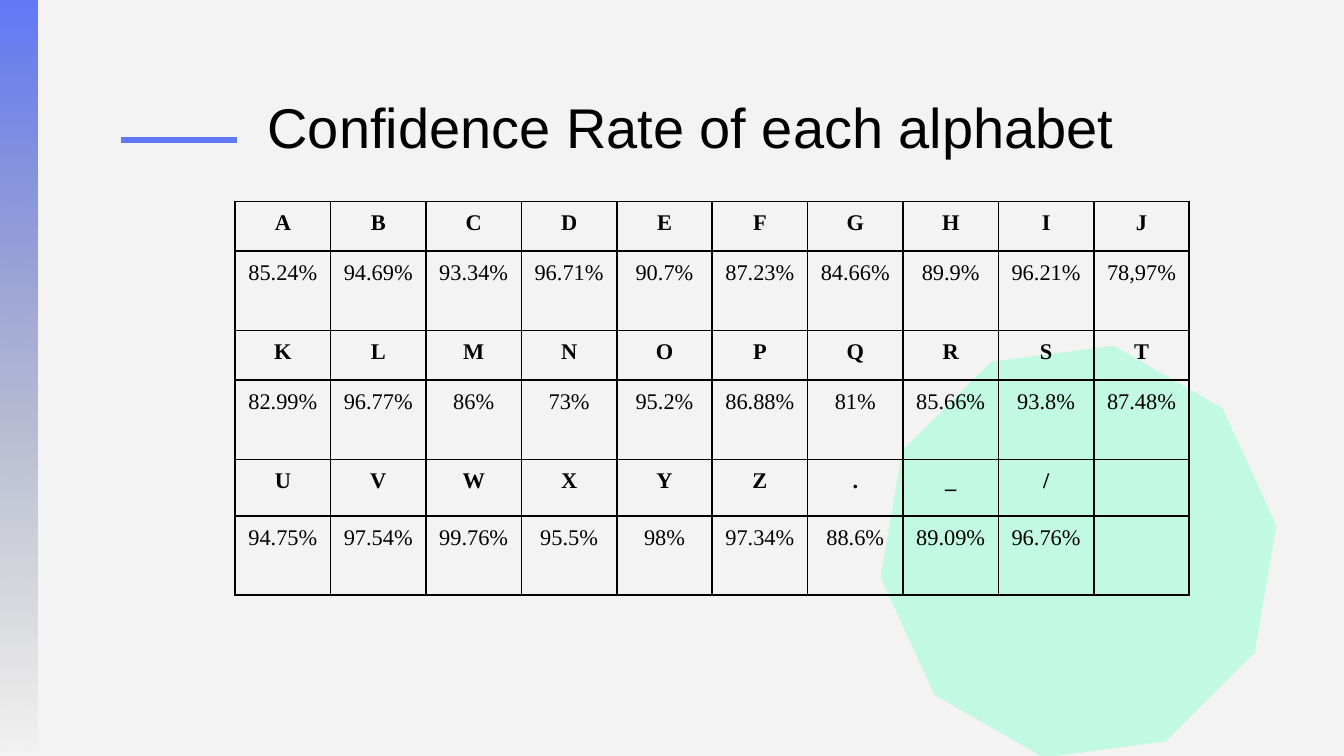
from dataclasses import dataclass

from lxml.etree import SubElement
from pptx import Presentation
from pptx.dml.color import RGBColor
from pptx.enum.shapes import MSO_CONNECTOR, MSO_SHAPE
from pptx.enum.text import MSO_ANCHOR, PP_ALIGN
from pptx.oxml.ns import qn
from pptx.util import Inches, Pt


@dataclass(frozen=True)
class Theme:
    background: str = "F3F3F3"
    accent: str = "6178F6"
    fade: str = "737373"
    mint: str = "95FFD4"
    ink: str = "000000"
    title_font: str = "Arial"
    table_font: str = "Times New Roman"
    title_size: float = 30
    table_size: float = 12
    rule_width: float = 3
    border_width: float = 1


THEME = Theme()
WIDTH = 10
HEIGHT = WIDTH * 9 / 16
COLUMN_WIDTH = 0.71
ROW_HEIGHTS = (0.37, 0.59, 0.37, 0.59, 0.42, 0.59)
RATES = (
    ("A B C D E F G H I J",
     "85.24% 94.69% 93.34% 96.71% 90.7% 87.23% 84.66% 89.9% 96.21% 78,97%"),
    ("K L M N O P Q R S T",
     "82.99% 96.77% 86% 73% 95.2% 86.88% 81% 85.66% 93.8% 87.48%"),
    ("U V W X Y Z . _ /",
     "94.75% 97.54% 99.76% 95.5% 98% 97.34% 88.6% 89.09% 96.76%"),
)


def color(code):
    return RGBColor.from_string(code)


def set_alpha(color_element, percent):
    SubElement(color_element, qn("a:alpha"), val=str(percent * 1000))


def write(holder, text, *, font, size, inset, bold=False, align=PP_ALIGN.LEFT):
    holder.vertical_anchor = MSO_ANCHOR.TOP
    holder.margin_left = holder.margin_right = Inches(inset)
    holder.margin_top = holder.margin_bottom = Inches(inset)
    frame = getattr(holder, "text_frame", holder)
    paragraph = frame.paragraphs[0]
    paragraph.alignment = align
    run = paragraph.add_run()
    run.text = text
    run.font.name = font
    run.font.size = Pt(size)
    run.font.bold = bold
    run.font.color.rgb = color(THEME.ink)


def add_plain_shape(slide, preset, left, top, width, height):
    shape = slide.shapes.add_shape(
        preset, Inches(left), Inches(top), Inches(width), Inches(height))
    shape.shadow.inherit = False
    shape.line.fill.background()
    return shape


def add_side_band(slide):
    band = add_plain_shape(slide, MSO_SHAPE.RECTANGLE, 0, 0, 0.28, HEIGHT)
    band.fill.gradient()
    band.fill.gradient_angle = 270
    start, end = band.fill.gradient_stops
    for stop, code, position in ((start, THEME.accent, 0), (end, THEME.fade, 1)):
        stop.color.rgb = color(code)
        stop.position = position
    fade = list(band._element.spPr.iter(qn("a:srgbClr")))[-1]
    set_alpha(fade, 0)


def add_decagon(slide):
    decagon = add_plain_shape(slide, MSO_SHAPE.DECAGON, 6.54, 2.62, 2.97, 2.97)
    decagon.rotation = 352.5
    decagon.fill.solid()
    decagon.fill.fore_color.rgb = color(THEME.mint)
    set_alpha(next(decagon._element.spPr.iter(qn("a:srgbClr"))), 53)


def add_title_rule(slide):
    rule = slide.shapes.add_connector(
        MSO_CONNECTOR.STRAIGHT, Inches(1.76), Inches(1.04), Inches(0.9), Inches(1.04))
    rule.line.color.rgb = color(THEME.accent)
    rule.line.width = Pt(THEME.rule_width)
    SubElement(rule._element.spPr, qn("a:effectLst"))


def place_title(slide, text):
    title = slide.shapes.title
    title.left, title.top = Inches(1.89), Inches(0.59)
    title.width, title.height = Inches(7.33), Inches(0.63)
    title.text_frame.word_wrap = True
    write(title.text_frame, text, font=THEME.title_font, size=THEME.title_size,
          inset=0.1)


def add_borders(cell):
    properties = cell._tc.get_or_add_tcPr()
    for side in ("lnL", "lnR", "lnT", "lnB"):
        border = SubElement(properties, qn(f"a:{side}"), w=str(Pt(THEME.border_width)))
        fill = SubElement(border, qn("a:solidFill"))
        SubElement(fill, qn("a:srgbClr"), val=THEME.ink)


def add_rate_table(slide):
    lines = [line.split() for pair in RATES for line in pair]
    column_count = max(map(len, lines))
    table = slide.shapes.add_table(
        len(lines), column_count, Inches(1.75), Inches(1.5),
        Inches(COLUMN_WIDTH * column_count), Inches(sum(ROW_HEIGHTS))).table
    table.first_row = table.horz_banding = False
    for column in table.columns:
        column.width = Inches(COLUMN_WIDTH)
    for index, (row, height, line) in enumerate(zip(table.rows, ROW_HEIGHTS, lines)):
        row.height = Inches(height)
        padded = line + [""] * (column_count - len(line))
        for cell, text in zip(row.cells, padded):
            add_borders(cell)
            cell.fill.background()
            write(cell, text, font=THEME.table_font, size=THEME.table_size,
                  inset=0.07, bold=index % 2 == 0, align=PP_ALIGN.CENTER)


def main():
    deck = Presentation()
    deck.slide_width, deck.slide_height = Inches(WIDTH), Inches(HEIGHT)
    slide = deck.slides.add_slide(deck.slide_layouts[5])
    slide.background.fill.solid()
    slide.background.fill.fore_color.rgb = color(THEME.background)
    add_side_band(slide)
    add_decagon(slide)
    add_title_rule(slide)
    place_title(slide, "Confidence Rate of each alphabet")
    add_rate_table(slide)
    deck.save("out.pptx")


if __name__ == "__main__":
    main()
